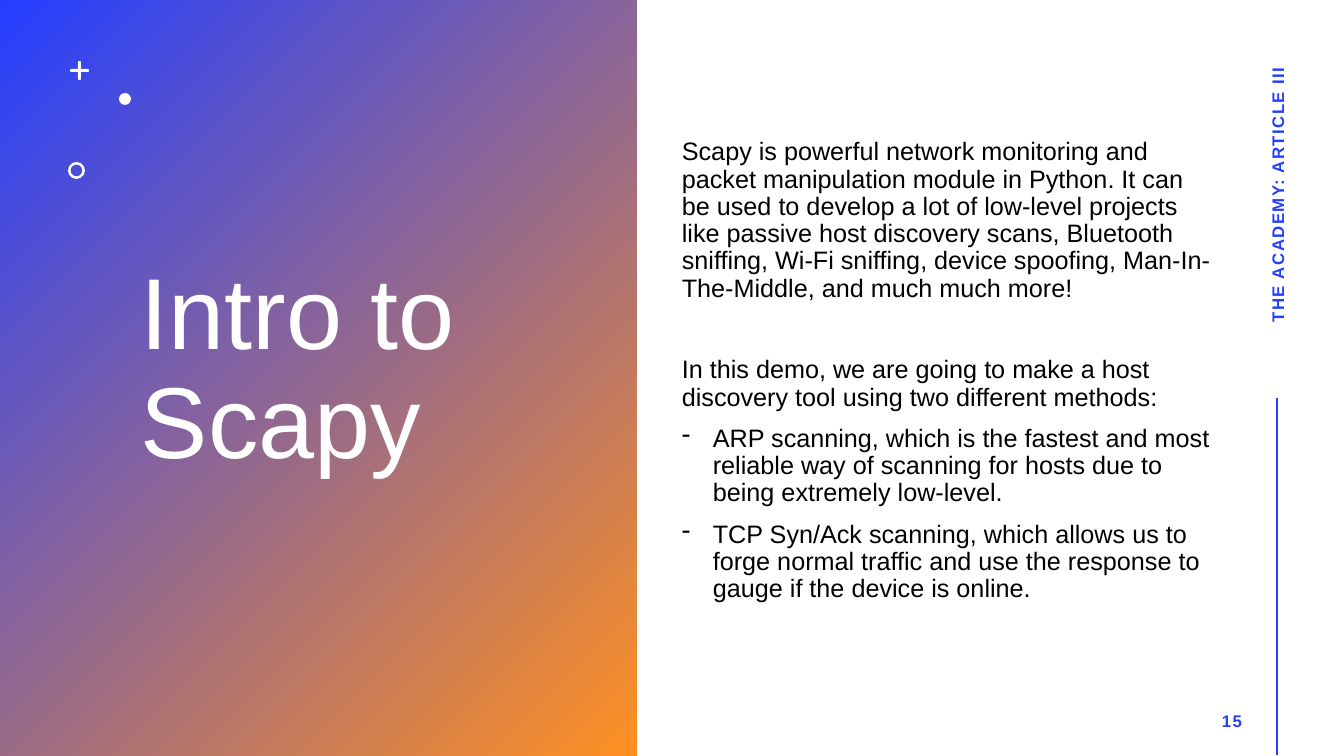
from lxml import etree
from pptx import Presentation, util as u
from pptx.dml.color import RGBColor
from pptx.enum import shapes, text
from pptx.oxml.ns import qn

PX = u.Inches(1) / 100.8
BLUE, ORANGE, WHITE, BLACK = "243FFF", "FF9022", "FFFFFF", "000000"
KIND = shapes.MSO_SHAPE
ALIGN = text.PP_ALIGN


def px(length):
    return u.Emu(round(length * PX))


def color(value):
    return RGBColor.from_string(value)


class SlideBuilder:
    def __init__(self, slide, font="Arial"):
        self.slide = slide
        self.font = font

    def shape(self, kind, left, top, width, height, fill, adjust=None):
        """Add a borderless shape; a pair of fill colours runs from top left to bottom right."""
        shape = self.slide.shapes.add_shape(kind, px(left), px(top), px(width), px(height))
        shape.shadow.inherit = False
        shape.line.fill.background()
        if isinstance(fill, tuple):
            shape.fill.gradient()
            shape.fill.gradient_angle = 315
            for stop, value in zip(shape.fill.gradient_stops, fill):
                stop.color.rgb = color(value)
        else:
            shape.fill.solid()
            shape.fill.fore_color.rgb = color(fill)
        if adjust is not None:
            shape.adjustments[0] = adjust

    def line(self, x1, y1, x2, y2, stroke, width=2):
        line = self.slide.shapes.add_connector(
            shapes.MSO_CONNECTOR.STRAIGHT, px(x1), px(y1), px(x2), px(y2))
        line.line.color.rgb = color(stroke)
        line.line.width = u.Pt(width)
        etree.SubElement(line._element.spPr, qn("a:effectLst"))

    def text_box(self, left, top, width, height, rotation=0):
        box = self.slide.shapes.add_textbox(px(left), px(top), px(width), px(height))
        box.rotation = rotation
        box.text_frame.word_wrap = True
        box.text_frame.vertical_anchor = text.MSO_ANCHOR.MIDDLE
        return box.text_frame

    def add_text(self, frame, words, size, fill, bold=False, align=ALIGN.LEFT,
                 line_spacing=1.0, before=0, after=0, tracking=0, bullet=None):
        """Add one paragraph, using the frame's first one while it is still empty."""
        paragraph = frame.paragraphs[0] if not frame.text else frame.add_paragraph()
        paragraph.alignment = align
        paragraph.line_spacing = line_spacing
        paragraph.space_before = u.Pt(before)
        paragraph.space_after = u.Pt(after)
        if bullet:
            properties = paragraph._p.get_or_add_pPr()
            properties.set("marL", str(px(31)))
            properties.set("indent", str(-px(31)))
            etree.SubElement(properties, qn("a:buChar"), char=bullet)
        run = paragraph.add_run()
        run.text = words
        run.font.name = self.font
        run.font.size = u.Pt(size)
        run.font.bold = bold
        run.font.color.rgb = color(fill)
        if tracking:
            run._r.get_or_add_rPr().set("spc", str(tracking * 100))


def main():
    presentation = Presentation()
    presentation.slide_width, presentation.slide_height = px(1344), px(756)
    builder = SlideBuilder(presentation.slides.add_slide(presentation.slide_layouts[6]))

    builder.shape(KIND.RECTANGLE, 0, 0, 637, 756, (BLUE, ORANGE))
    title = builder.text_box(131, 42, 442, 658)
    builder.add_text(title, "Intro to Scapy", 72, WHITE, line_spacing=0.9)

    # Plus, dot and ring ornaments
    builder.shape(KIND.ROUNDED_RECTANGLE, 70, 69, 19, 3, WHITE, adjust=0.5)
    builder.shape(KIND.ROUNDED_RECTANGLE, 78, 61, 3, 19, WHITE, adjust=0.5)
    builder.shape(KIND.OVAL, 119, 93, 12, 12, WHITE)
    builder.shape(KIND.DONUT, 68, 162, 17, 17, WHITE, adjust=0.15)

    body = builder.text_box(672, 42, 549, 658)
    for words, before, bullet in [
        ("Scapy is powerful network monitoring and packet manipulation module in Python. "
         "It can be used to develop a lot of low-level projects like passive host discovery "
         "scans, Bluetooth sniffing, Wi-Fi sniffing, device spoofing, Man-In-The-Middle, "
         "and much much more!", 0, None),
        ("In this demo, we are going to make a host discovery tool using two different "
         "methods:", 39, None),
        ("ARP scanning, which is the fastest and most reliable way of scanning for hosts "
         "due to being extremely low-level.", 10, "-"),
        ("TCP Syn/Ack scanning, which allows us to forge normal traffic and use the "
         "response to gauge if the device is online.", 10, "-"),
    ]:
        builder.add_text(body, words, 18, BLACK, line_spacing=0.9, before=before, bullet=bullet)

    label = dict(size=12, fill=BLUE, bold=True, after=6, tracking=1)
    footer = builder.text_box(1082, 175, 391, 40, rotation=270)
    builder.add_text(footer, "THE ACADEMY: ARTICLE III", align=ALIGN.CENTER, **label)
    number = builder.text_box(950, 701, 302, 40)
    builder.add_text(number, "15", align=ALIGN.RIGHT, **label)
    builder.line(1277, 398, 1277, 755, BLUE)

    presentation.save("out.pptx")


if __name__ == "__main__":
    main()
